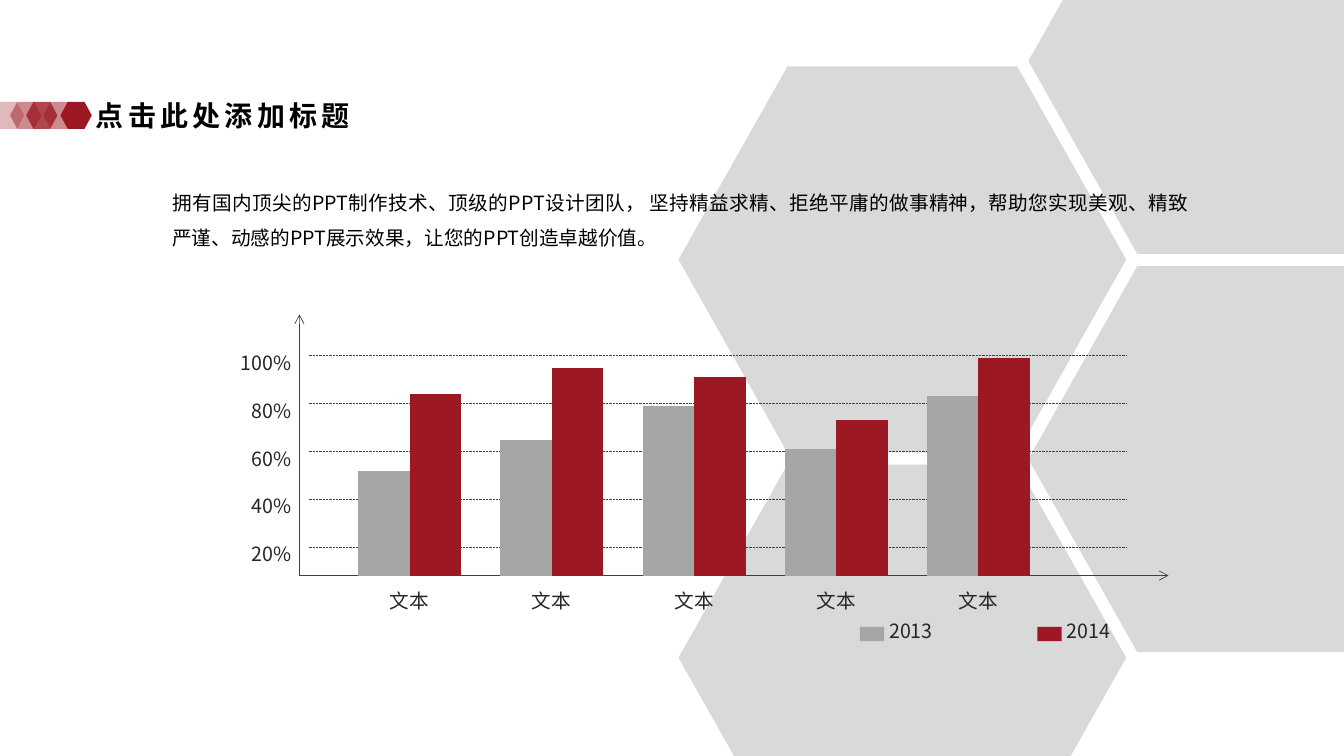
from lxml.etree import SubElement
from pptx import Presentation
from pptx.chart.data import CategoryChartData
from pptx.dml.color import RGBColor
from pptx.enum.chart import XL_CHART_TYPE, XL_TICK_LABEL_POSITION, XL_TICK_MARK
from pptx.enum.dml import MSO_LINE
from pptx.enum.shapes import MSO_CONNECTOR, MSO_SHAPE
from pptx.enum.text import MSO_ANCHOR, PP_ALIGN
from pptx.oxml import parse_xml
from pptx.oxml.ns import nsdecls, qn
from pptx.util import Inches, Pt

FONT = "Noto Sans CJK SC"
BLACK = RGBColor(0x00, 0x00, 0x00)
INK = RGBColor(0x26, 0x26, 0x26)
AXIS_GREY = RGBColor(0x40, 0x40, 0x40)
PALE_GREY = RGBColor(0xD9, 0xD9, 0xD9)
BAR_GREY = RGBColor(0xA6, 0xA6, 0xA6)
RED = RGBColor(0x9C, 0x19, 0x23)

TITLE = "点击此处添加标题"
INTRO = (
    "拥有国内顶尖的PPT制作技术、顶级的PPT设计团队， 坚持精益求精、拒绝平庸的做事精神，"
    "帮助您实现美观、精致严谨、动感的PPT展示效果，让您的PPT创造卓越价值。"
)
YEARS = {
    "2013": ((0.52, 0.65, 0.79, 0.61, 0.83), BAR_GREY),
    "2014": ((0.84, 0.95, 0.91, 0.73, 0.99), RED),
}
AXIS_FLOOR = 0.08
AXIS_X, AXIS_Y = 2.97, 5.71
GRID_TOP, GRID_STEP = 3.53, 0.475
PLOT_HEIGHT, CHART_HEIGHT = 2.19, 2.6


def set_font(font, size, color, bold=False):
    font.name = FONT
    font.size = Pt(size)
    font.bold = bold
    font.color.rgb = color
    east_asian = SubElement(font._element, qn("a:ea"))
    east_asian.set("typeface", FONT)


def add_text(slide, text, left, top, width, height, color=INK, align=PP_ALIGN.LEFT):
    frame = slide.shapes.add_textbox(
        Inches(left), Inches(top), Inches(width), Inches(height)
    ).text_frame
    frame.word_wrap = True
    frame.text = text
    paragraph = frame.paragraphs[0]
    paragraph.alignment = align
    set_font(paragraph.runs[0].font, 14, color)
    return paragraph


def add_block(slide, preset, left, top, width, height, color, opacity=100):
    block = slide.shapes.add_shape(
        preset, Inches(left), Inches(top), Inches(width), Inches(height)
    )
    block.shadow.inherit = False
    block.fill.solid()
    block.fill.fore_color.rgb = color
    block.line.fill.background()
    if opacity < 100:
        srgb = block.fill._xPr.find(".//" + qn("a:srgbClr"))
        SubElement(srgb, qn("a:alpha")).set("val", str(opacity * 1000))
    return block


def add_hexagon(slide, left, top, width, height, color, slant, opacity=100):
    hexagon = add_block(
        slide, MSO_SHAPE.HEXAGON, left, top, width, height, color, opacity
    )
    hexagon.adjustments[0] = slant


def add_line(slide, x1, y1, x2, y2, dash=None, arrow=False):
    connector = slide.shapes.add_connector(
        MSO_CONNECTOR.STRAIGHT, Inches(x1), Inches(y1), Inches(x2), Inches(y2)
    )
    connector.line.color.rgb = AXIS_GREY
    connector.line.width = Pt(0.5)
    if dash:
        connector.line.dash_style = dash
    if arrow:
        SubElement(connector.line._get_or_add_ln(), qn("a:tailEnd")).set("type", "arrow")
    SubElement(connector._element.spPr, qn("a:effectLst"))


def add_title(slide):
    title = slide.shapes.title
    title.left, title.top = Inches(0.85), Inches(0.92)
    title.width, title.height = Inches(3.62), Inches(0.44)
    title.text_frame.text = TITLE
    title.text_frame.vertical_anchor = MSO_ANCHOR.MIDDLE
    paragraph = title.text_frame.paragraphs[0]
    paragraph.alignment = PP_ALIGN.LEFT
    font = paragraph.runs[0].font
    set_font(font, 20, BLACK, bold=True)
    font._element.set("spc", "300")


def add_grid(slide):
    add_line(slide, AXIS_X, AXIS_Y, AXIS_X, 3.12, arrow=True)
    add_line(slide, AXIS_X, AXIS_Y, 11.59, AXIS_Y, arrow=True)
    for row, percent in enumerate(range(100, 0, -20)):
        y = GRID_TOP + row * GRID_STEP
        add_line(slide, 3.06, y, 11.18, y, dash=MSO_LINE.ROUND_DOT)
        add_text(slide, f"{percent}%", 1.74, y - 0.1, 1.25, 0.34, align=PP_ALIGN.RIGHT)


def fix_plot_area(chart):
    height = PLOT_HEIGHT / CHART_HEIGHT
    plot_area = chart.element.find(".//" + qn("c:plotArea"))
    for layout in plot_area.findall(qn("c:layout")):
        plot_area.remove(layout)
    plot_area.insert(0, parse_xml(
        f'<c:layout {nsdecls("c")}><c:manualLayout><c:layoutTarget val="inner"/>'
        '<c:xMode val="edge"/><c:yMode val="edge"/><c:x val="0"/><c:y val="0"/>'
        f'<c:w val="1"/><c:h val="{height:.2f}"/></c:manualLayout></c:layout>'
    ))
    chart.element.find(qn("c:chart")).addnext(parse_xml(
        f'<c:spPr {nsdecls("c", "a")}><a:noFill/><a:ln><a:noFill/></a:ln></c:spPr>'
    ))


def add_bars(slide):
    figures = CategoryChartData(number_format="0%")
    figures.categories = ["文本"] * 5
    for year, (values, _) in YEARS.items():
        figures.add_series(year, values)
    chart = slide.shapes.add_chart(
        XL_CHART_TYPE.COLUMN_CLUSTERED,
        Inches(3.36), Inches(GRID_TOP), Inches(7.05), Inches(CHART_HEIGHT), figures,
    ).chart
    chart.has_title = False
    chart.has_legend = False
    set_font(chart.font, 14, INK)

    value_axis = chart.value_axis
    value_axis.minimum_scale = AXIS_FLOOR
    value_axis.maximum_scale = 1
    value_axis.has_major_gridlines = False
    value_axis.major_tick_mark = XL_TICK_MARK.NONE
    value_axis.tick_label_position = XL_TICK_LABEL_POSITION.NONE
    value_axis.format.line.fill.background()
    category_axis = chart.category_axis
    category_axis.major_tick_mark = XL_TICK_MARK.NONE
    category_axis.tick_label_position = XL_TICK_LABEL_POSITION.LOW
    category_axis.format.line.fill.background()

    plot = chart.plots[0]
    plot.vary_by_categories = False
    plot.gap_width = 76
    plot.overlap = 0
    for series, (_, color) in zip(plot.series, YEARS.values()):
        series.format.fill.solid()
        series.format.fill.fore_color.rgb = color
        series.format.line.fill.background()
    fix_plot_area(chart)


def add_legend(slide):
    for index, (year, (_, color)) in enumerate(YEARS.items()):
        left = 8.53 + index * 1.76
        add_block(slide, MSO_SHAPE.RECTANGLE, left, 6.22, 0.24, 0.14, color)
        add_text(slide, year, left + 0.19, 6.09, 0.92, 0.34)


def main():
    deck = Presentation()
    deck.slide_width, deck.slide_height = Inches(13.33), Inches(7.5)
    slide = deck.slides.add_slide(deck.slide_layouts[5])

    for left, top in ((6.73, 0.66), (10.2, -1.31)):
        for row in range(2):
            add_hexagon(slide, left, top + row * 3.95, 4.44, 3.83, PALE_GREY, 0.282)

    intro = add_text(slide, INTRO, 1.61, 1.73, 10.28, 0.81, BLACK, PP_ALIGN.JUSTIFY)
    intro.line_spacing = 1.5
    add_grid(slide)
    add_bars(slide)
    add_legend(slide)
    add_title(slide)
    for left, opacity in ((0.6, 100), (0.26, 80), (0.43, 50), (0.1, 50), (-0.07, 30)):
        add_hexagon(slide, left, 1.01, 0.31, 0.27, RED, 0.268, opacity)
    deck.save("out.pptx")


if __name__ == "__main__":
    main()
